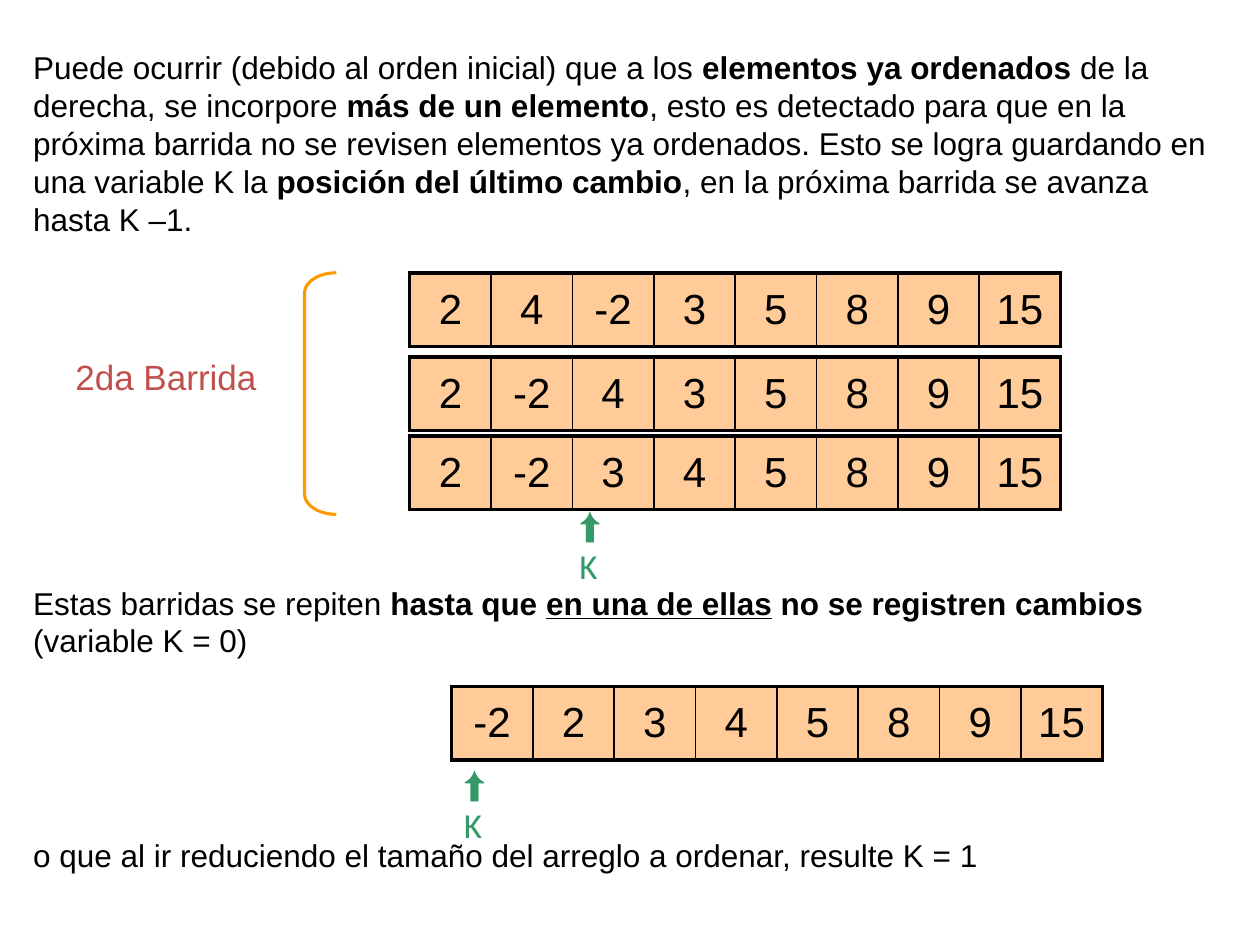
from dataclasses import dataclass

from lxml.etree import SubElement
from pptx import Presentation
from pptx.dml.color import RGBColor as RGB
from pptx.enum.shapes import MSO_SHAPE as Shape
from pptx.enum.text import MSO_ANCHOR as Anchor, MSO_AUTO_SIZE as AutoSize, PP_ALIGN as Align
from pptx.oxml.ns import qn
from pptx.util import Cm, Pt


@dataclass(frozen=True)
class Theme:
    font: str = "Arial"
    marker_font: str = "Calibri"
    ink: str = "000000"
    cell: str = "FFCC99"
    bracket: str = "FF9900"
    marker: str = "339966"
    label: str = "C0504D"
    body_size: float = 18
    label_size: float = 20
    cell_size: float = 24
    outer_line: float = 2.25
    inner_line: float = 1
    bracket_line: float = 1.75


class SlideBuilder:
    """Adds styled elements to one slide."""

    def __init__(self, slide, theme):
        self.slide = slide
        self.theme = theme

    def style(self, para, size, color, font=None):
        para.font.name = font or self.theme.font
        para.font.size = Pt(size)
        para.font.color.rgb = RGB.from_string(color)

    def frame(self, left, top, width, height):
        box = self.slide.shapes.add_textbox(Cm(left), Cm(top), Cm(width), Cm(height))
        frame = box.text_frame
        frame.word_wrap = True
        frame.auto_size = AutoSize.SHAPE_TO_FIT_TEXT
        return frame

    def text(self, top, width, height, *spans):
        """Body text; each span is (text, marks), with b for bold and u for underline."""
        para = self.frame(0.42, top, width, height).paragraphs[0]
        self.style(para, self.theme.body_size, self.theme.ink)
        for words, marks in spans:
            span = para.add_run()
            span.text = words
            if "b" in marks:
                span.font.bold = True
            if "u" in marks:
                span.font.underline = True

    def label(self, left, top, width, height, words):
        para = self.frame(left, top, width, height).paragraphs[0]
        para.text = words
        para.line_spacing = 0.5
        self.style(para, self.theme.label_size, self.theme.label)

    def marker(self, left, top):
        """Arrow with the variable K below it."""
        frame = self.frame(left, top, 1.69, 1.54)
        frame.text = "⬆\nK"
        for para in frame.paragraphs:
            para.line_spacing = 0.5
            self.style(para, self.theme.label_size, self.theme.marker, self.theme.marker_font)
        frame.paragraphs[1].space_before = Pt(12)

    def bracket(self, left, top, width, height):
        shape = self.slide.shapes.add_shape(
            Shape.LEFT_BRACKET, Cm(left), Cm(top), Cm(width), Cm(height))
        shape.adjustments[0] = 0.64
        shape.shadow.inherit = False
        shape.fill.background()
        shape.line.color.rgb = RGB.from_string(self.theme.bracket)
        shape.line.width = Pt(self.theme.bracket_line)

    def border(self, cell, side, width):
        line = SubElement(cell._tc.get_or_add_tcPr(), qn(f"a:ln{side}"), w=str(Pt(width)))
        fill = SubElement(line, qn("a:solidFill"))
        SubElement(fill, qn("a:srgbClr"), val=self.theme.ink)

    def array(self, left, top, values):
        """One-row table with a thick outline and thin dividers."""
        theme, count = self.theme, len(values)
        table = self.slide.shapes.add_table(
            1, count, Cm(left), Cm(top), Cm(1.64 * count), Cm(1.48)).table
        table.first_row = table.horz_banding = False
        for index, value in enumerate(values):
            cell = table.cell(0, index)
            edges = {
                "L": theme.outer_line if index == 0 else theme.inner_line,
                "R": theme.outer_line if index == count - 1 else theme.inner_line,
                "T": theme.outer_line,
                "B": theme.outer_line,
            }
            for side, width in edges.items():
                self.border(cell, side, width)
            cell.fill.solid()
            cell.fill.fore_color.rgb = RGB.from_string(theme.cell)
            cell.vertical_anchor = Anchor.MIDDLE
            para = cell.text_frame.paragraphs[0]
            para.text = str(value)
            para.alignment = Align.CENTER
            self.style(para, theme.cell_size, theme.ink)


def main():
    deck = Presentation()
    deck.slide_width, deck.slide_height = Cm(25.4), Cm(19.05)
    page = SlideBuilder(deck.slides.add_slide(deck.slide_layouts[6]), Theme())

    # Explanation of the last-swap variable
    page.text(
        0.85, 24.55, 4.11,
        ("Puede ocurrir (debido al orden inicial) que a los ", ""),
        ("elementos ya ordenados", "b"),
        (" de la derecha, se incorpore ", ""),
        ("más de un elemento", "b"),
        (", esto es detectado para que en la próxima barrida no se revisen elementos "
         "ya ordenados. Esto se logra guardando en una variable K la ", ""),
        ("posición del último cambio", "b"),
        (", en la próxima barrida se avanza hasta K –1.", ""),
    )

    # Second sweep, step by step
    page.label(1.27, 7.41, 4.5, 0.69, "2da Barrida")
    page.bracket(6.14, 5.5, 0.64, 4.87)
    sweep = [
        (5.5, [2, 4, -2, 3, 5, 8, 9, 15]),
        (7.2, [2, -2, 4, 3, 5, 8, 9, 15]),
        (8.79, [2, -2, 3, 4, 5, 8, 9, 15]),
    ]
    for top, values in sweep:
        page.array(8.26, top, values)
    page.marker(11.43, 10.37)

    # Stop conditions and the sorted array
    page.text(
        11.64, 24.98, 1.8,
        ("Estas barridas se repiten ", ""),
        ("hasta que ", "b"),
        ("en una de ellas", "bu"),
        (" no se registren cambios", "b"),
        (" (variable K = 0)", ""),
    )
    page.array(9.1, 13.84, [-2, 2, 3, 4, 5, 8, 9, 15])
    page.marker(9.1, 15.6)
    page.text(
        16.72, 24.98, 1.02,
        ("o que al ir reduciendo el tamaño del arreglo a ordenar, resulte K = 1", ""),
    )

    deck.save("out.pptx")


if __name__ == "__main__":
    main()
